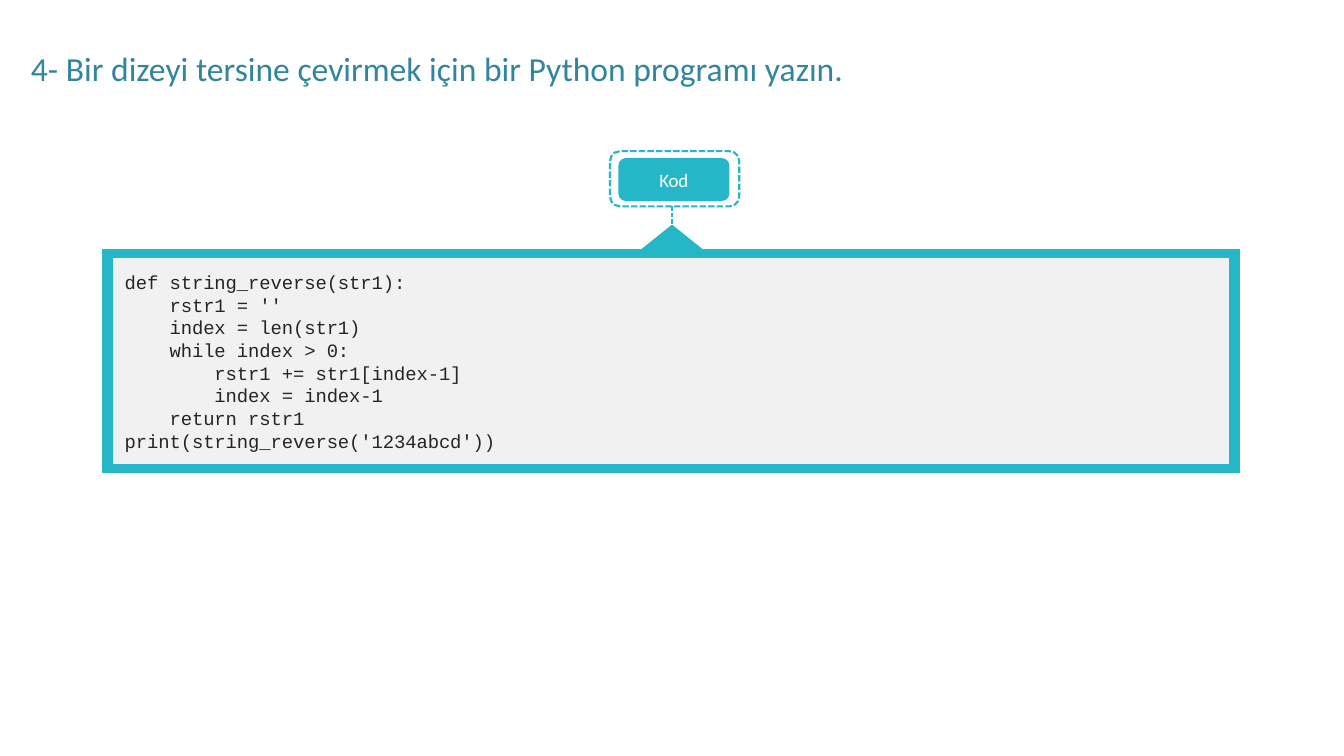
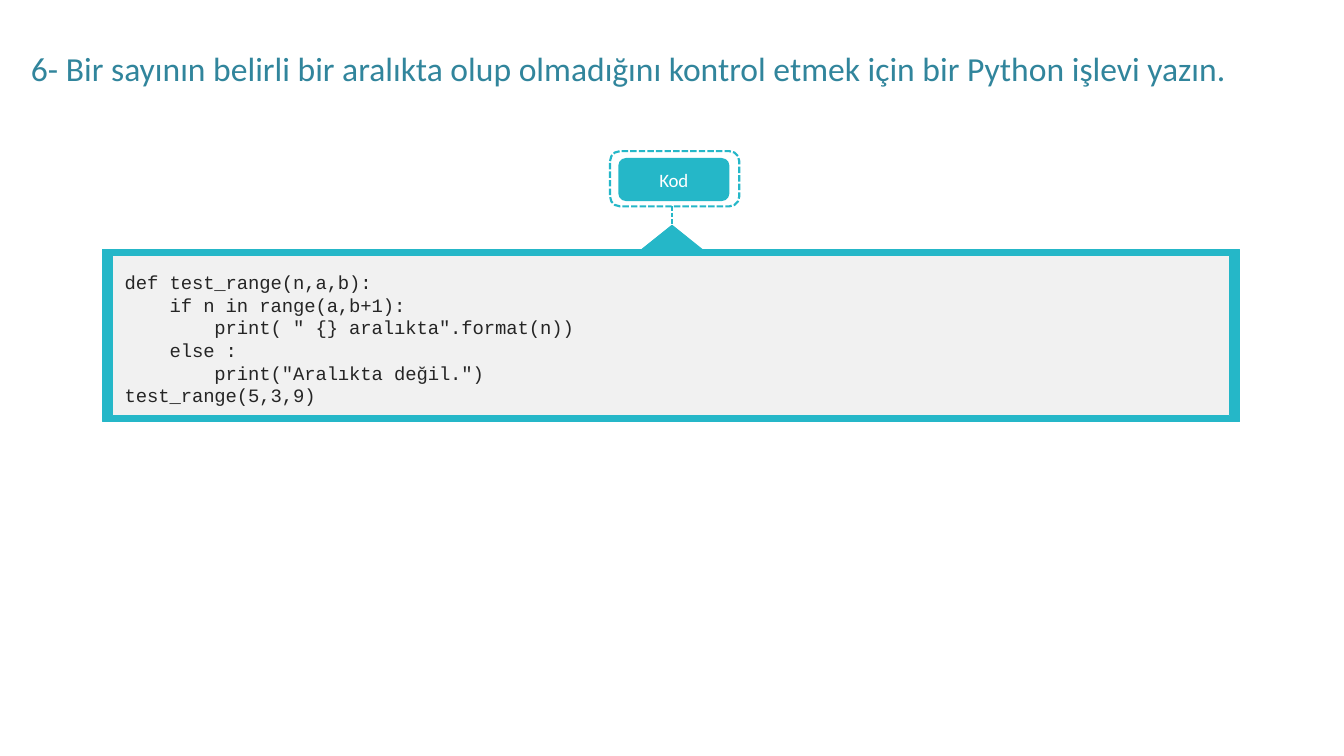
from pptx import Presentation
from pptx import util as u
from pptx.dml.color import RGBColor
from pptx.enum import dml, shapes, text
from lxml import etree

PX = 9144
TEAL = RGBColor(0x25, 0xB7, 0xC8)
TITLE_BLUE = RGBColor(0x31, 0x85, 0x9C)
PANEL_GREY = RGBColor(0xF1, 0xF1, 0xF1)
CODE_INK = RGBColor(0x25, 0x25, 0x25)
WHITE = RGBColor(0xFF, 0xFF, 0xFF)
A = "http://schemas.openxmlformats.org/drawingml/2006/main"

SHAPE = shapes.MSO_SHAPE
CODE_TOP = 330
PANEL_X, PANEL_W = 136, 1504

EXERCISES = [
    {
        "title": "4- Bir dizeyi tersine çevirmek için bir Python programı yazın.",
        "height": 295,
        "border": 10,
        "code": """def string_reverse(str1):
    rstr1 = ''
    index = len(str1)
    while index > 0:
        rstr1 += str1[index-1]
        index = index-1
    return rstr1
print(string_reverse('1234abcd'))""",
    },
    {
        "title": "6- Bir sayının belirli bir aralıkta olup olmadığını kontrol etmek "
                 "için bir Python işlevi yazın.",
        "height": 228,
        "border": 8,
        "code": """def test_range(n,a,b):
    if n in range(a,b+1):
        print( " {} aralıkta".format(n))
    else :
        print("Aralıkta değil.")
test_range(5,3,9)""",
    },
]


def emu(*lengths):
    return [u.Emu(length * PX) for length in lengths]


def set_font(p, name, size, color, spacing=0):
    p.font.name = name
    p.font.size = u.Pt(size)
    p.font.color.rgb = color
    if spacing:
        p._p.get_or_add_pPr().get_or_add_defRPr().set("spc", str(spacing))


def add_box(s, kind, box, fill=None, line=None, width=0.96):
    sp = s.shapes.add_shape(kind, *emu(*box))
    sp.shadow.inherit = False
    if fill is None:
        sp.fill.background()
    else:
        sp.fill.solid()
        sp.fill.fore_color.rgb = fill
    if line is None:
        sp.line.fill.background()
    else:
        sp.line.color.rgb = line
        sp.line.width = u.Pt(width)
    return sp


def add_title(s, box, title):
    sp = s.shapes.title
    sp.left, sp.top, sp.width, sp.height = emu(*box)
    tf = sp.text_frame
    tf.text = title
    tf.word_wrap = True
    tf.auto_size = text.MSO_AUTO_SIZE.NONE
    tf.vertical_anchor = text.MSO_ANCHOR.TOP
    p = tf.paragraphs[0]
    p.alignment = text.PP_ALIGN.LEFT
    p.line_spacing = 1.0
    set_font(p, "Calibri", 32, TITLE_BLUE)


def add_code_tag(s, box):
    x, y, w, h = box
    frame = add_box(s, SHAPE.ROUNDED_RECTANGLE, box, line=TEAL, width=2.04)
    frame.line.dash_style = dml.MSO_LINE.SQUARE_DOT
    pill = add_box(s, SHAPE.ROUNDED_RECTANGLE, (x + 11, y + 9, w - 24, h - 16), fill=TEAL)
    for sp in (frame, pill):
        sp.adjustments[0] = 0.18
    tf = pill.text_frame
    tf.text = "Kod"
    tf.vertical_anchor = text.MSO_ANCHOR.MIDDLE
    p = tf.paragraphs[0]
    p.alignment = text.PP_ALIGN.CENTER
    set_font(p, "Calibri", 18, WHITE, -10)

    stem_x = x + 82
    arrow_top = CODE_TOP - 32
    stem = s.shapes.add_connector(
        shapes.MSO_CONNECTOR.STRAIGHT, *emu(stem_x, y + h, stem_x, arrow_top))
    stem.line.color.rgb = TEAL
    stem.line.width = u.Pt(1.5)
    stem.line.dash_style = dml.MSO_LINE.SQUARE_DOT
    etree.SubElement(stem._element.spPr, f"{{{A}}}effectLst")
    add_box(s, SHAPE.ISOSCELES_TRIANGLE, (stem_x - 40, arrow_top, 80, 32), TEAL, TEAL)


def add_code_panel(s, box, border, code):
    x, y, w, h = box
    add_box(s, SHAPE.RECTANGLE, box, TEAL, TEAL)
    add_box(s, SHAPE.RECTANGLE, (x + 13, y + border, w - 26, h - 2 * border), PANEL_GREY, TEAL)
    tb = s.shapes.add_textbox(*emu(x + 29, y + 11, w - 50, h - 36))
    tf = tb.text_frame
    tf.word_wrap = True
    tf.margin_left = tf.margin_right = tf.margin_bottom = 0
    tf.margin_top = u.Emu(17 * PX)
    for i, line in enumerate(code.splitlines()):
        p = tf.add_paragraph() if i else tf.paragraphs[0]
        p.add_run().text = line
        p.line_spacing = u.Pt(21.6)
        set_font(p, "Courier New", 18, CODE_INK, -10)


def add_exercise(prs, exercise):
    s = prs.slides.add_slide(prs.slide_layouts[5])
    add_title(s, (31, 58, 1700, 64), exercise["title"])
    add_code_tag(s, (807, 200, 171, 73))
    add_code_panel(s, (PANEL_X, CODE_TOP, PANEL_W, exercise["height"]),
                   exercise["border"], exercise["code"])


def main():
    prs = Presentation()
    prs.slide_width, prs.slide_height = emu(1778, 1000)
    for exercise in EXERCISES:
        add_exercise(prs, exercise)
    prs.save("out.pptx")


if __name__ == "__main__":
    main()
